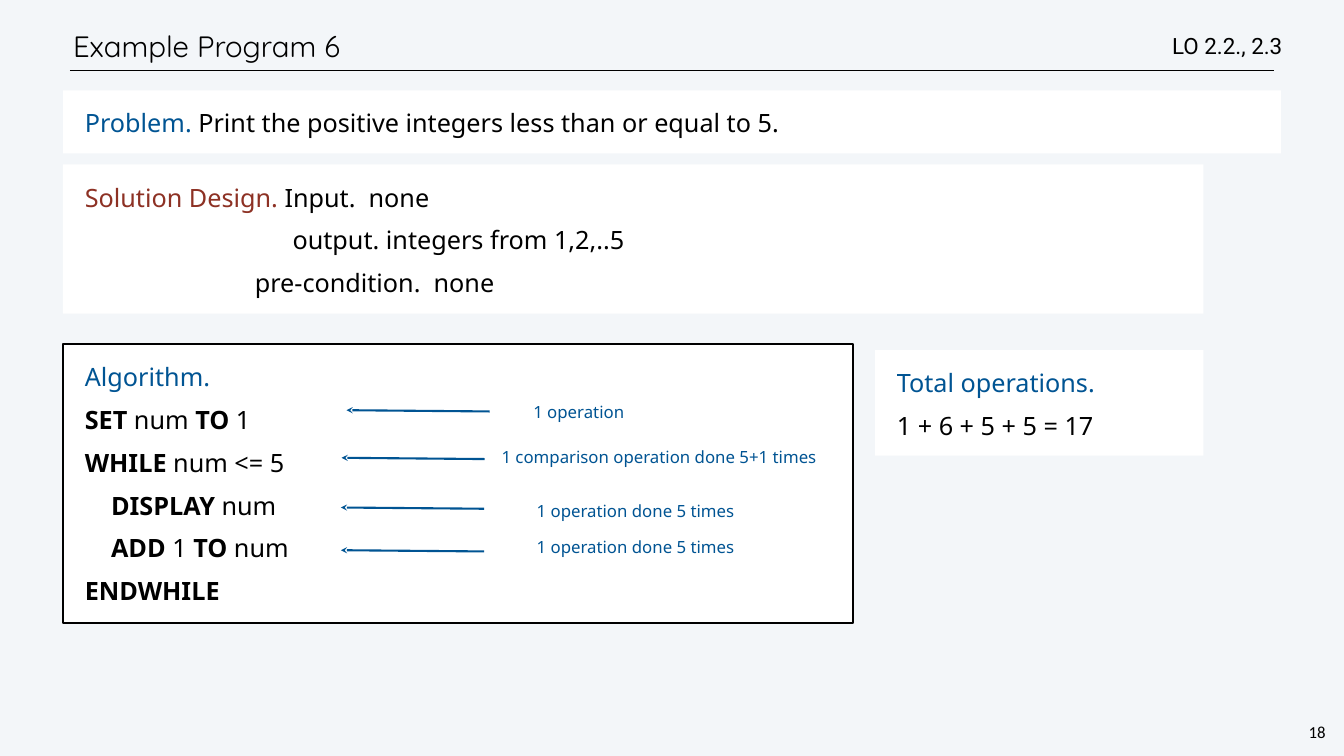
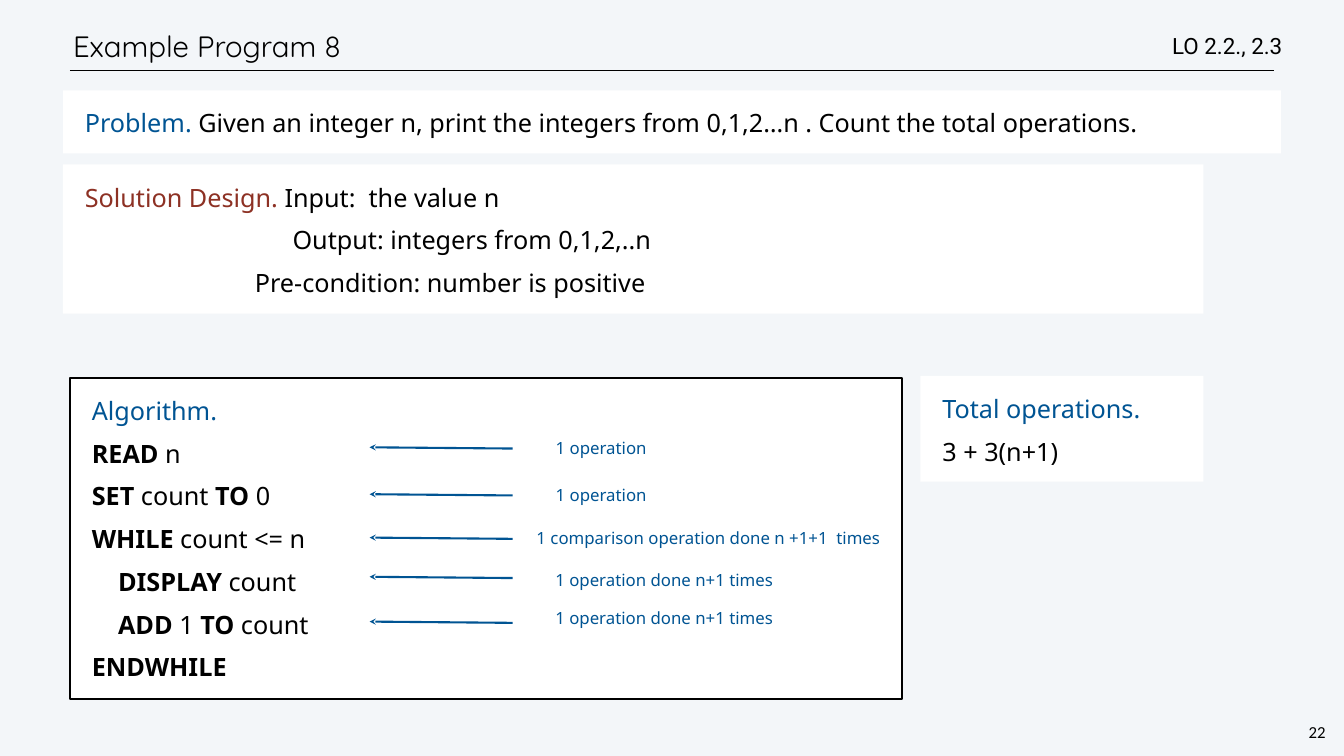
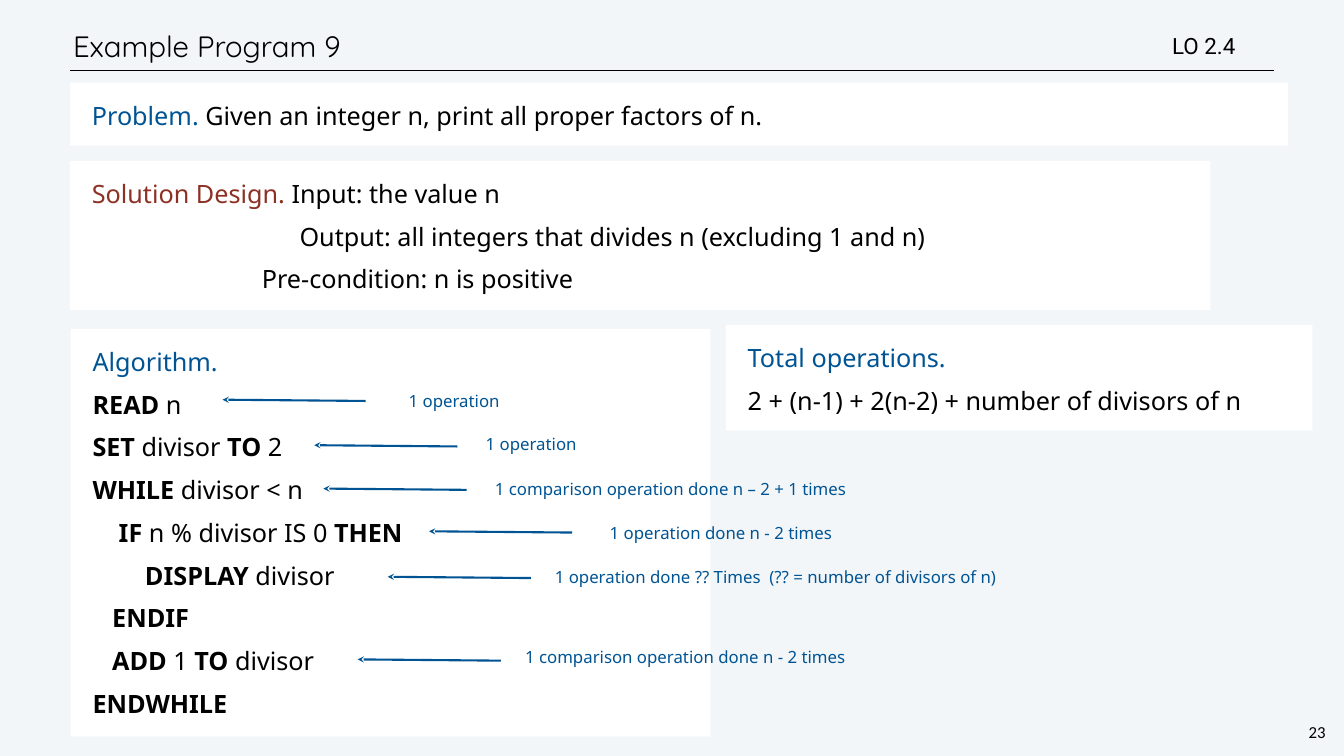
from pptx import Presentation
from pptx.dml.color import RGBColor
from pptx.enum.shapes import MSO_CONNECTOR, MSO_SHAPE
from pptx.enum.text import MSO_ANCHOR, PP_ALIGN
from pptx.oxml.ns import qn
from pptx.util import Pt
from lxml.etree import SubElement

COLORS = {
    "background": "F3F6F9",
    "panel": "FFFFFF",
    "ink": "000000",
    "blue": "005493",
    "red": "8D3124",
}
TITLE_FONT, BODY_FONT, OBJECTIVE_FONT, NUMBER_FONT = "Quicksand", "Noto Sans", "Roboto", "Calibri"
SLIDE_SIZE = (1920, 1080)
PANEL_INSET = 24
FIRST_INDENT = 7.2
OUTPUT_INDENT, CONDITION_INDENT = 304, 250
NOTE_WIDTH, NOTE_HEIGHT = 629, 36
ARROW_LENGTH, ARROW_DROP = 204.5, 1.8

# Notes: text, left and top, arrow tip left and top (from the algorithm panel), width if special.
# In the algorithm, asterisks enclose keywords.
PROGRAMS = [
    {
        "title": "Example Program 6",
        "objective": "LO 2.2., 2.3",
        "number": "18",
        "problem": "Print the positive integers less than or equal to 5.",
        "problem_box": (90, 129, 1740, 90),
        "design": ["Input.  none", "output. integers from 1,2,..5", "pre-condition.  none"],
        "design_box": (90, 235, 1629, 213),
        "algorithm": [
            "*SET* num *TO* 1",
            "*WHILE* num <= 5",
            "    *DISPLAY* num",
            "    *ADD* 1 *TO* num",
            "*ENDWHILE*",
        ],
        "algorithm_box": (90, 492, 1129, 398),
        "framed": True,
        "notes": [
            ("1 operation", (419, 78), (405, 94)),
            ("1 comparison operation done 5+1 times", (602, 143), (398, 162), 492),
            ("1 operation done 5 times", (500, 220), (397, 233)),
            ("1 operation done 5 times", (500, 271), (397, 294)),
        ],
        "total": "1 + 6 + 5 + 5 = 17",
        "total_box": (1250, 500, 469, 151),
    },
    {
        "title": "Example Program 8",
        "objective": "LO 2.2., 2.3",
        "number": "22",
        "problem": "Given an integer n, print the integers from 0,1,2…n . Count the total operations.",
        "problem_box": (90, 129, 1740, 90),
        "design": ["Input:  the value n", "Output: integers from 0,1,2,..n",
                   "Pre-condition: number is positive"],
        "design_box": (90, 235, 1629, 213),
        "algorithm": [
            "*READ* n",
            "*SET* count *TO* 0",
            "*WHILE* count <= n",
            "    *DISPLAY* count",
            "    *ADD* 1 *TO* count",
            "*ENDWHILE*",
        ],
        "algorithm_box": (100, 540, 1188, 459),
        "framed": True,
        "notes": [
            ("1 operation", (441, 82), (428, 99)),
            ("1 operation", (441, 149), (428, 166)),
            ("1 comparison operation done n +1+1  times", (594, 210), (428, 228)),
            ("1 operation done n+1 times", (531, 271), (428, 284)),
            ("1 operation done n+1 times", (531, 325), (428, 348)),
        ],
        "total": "3 + 3(n+1)",
        "total_box": (1315, 537, 404, 151),
    },
    {
        "title": "Example Program 9",
        "objective": "LO 2.4",
        "number": "23",
        "problem": "Given an integer n, print all proper factors of n.",
        "problem_box": (100, 118, 1740, 90),
        "design": ["Input: the value n", "Output: all integers that divides n (excluding 1 and n)",
                   "Pre-condition: n is positive"],
        "design_box": (100, 230, 1629, 213),
        "algorithm": [
            "*READ* n",
            "*SET* divisor *TO* 2",
            "*WHILE* divisor < n",
            "    *IF* n % divisor IS 0 *THEN*",
            "        *DISPLAY* divisor",
            "   *ENDIF*",
            "   *ADD* 1 *TO* divisor",
            "*ENDWHILE*",
        ],
        "algorithm_box": (101, 470, 914, 582),
        "framed": False,
        "notes": [
            ("1 operation", (230, 85), (217, 101)),
            ("1 operation", (340, 146), (348, 166)),
            ("1 comparison operation done n – 2 + 1 times", (539, 211), (361, 228)),
            ("1 operation done n - 2 times", (611, 273), (512, 289)),
            ("1 operation done ?? Times  (?? = number of divisors of n)",
             (500, 336), (453, 354), 1007),
            ("1 comparison operation done n - 2 times", (560, 451), (410, 472)),
        ],
        "total": "2 + (n-1) + 2(n-2) + number of divisors of n",
        "total_box": (1037, 464, 838, 151),
    },
]


def rgb(color):
    return RGBColor.from_string(COLORS[color])


def set_insets(frame, inset):
    frame.margin_left = frame.margin_right = frame.margin_top = frame.margin_bottom = Pt(inset)


def add_run(paragraph, text, size, font, color="ink", bold=False):
    run = paragraph.add_run()
    run.text = text
    run.font.size = Pt(size)
    run.font.name = font
    run.font.bold = bold
    run.font.color.rgb = rgb(color)


def indent(paragraph, left, first):
    properties = paragraph._p.get_or_add_pPr()
    properties.set("marL", str(Pt(left)))
    properties.set("indent", str(Pt(first)))


def add_label(slide, box, text, size, font, color="ink", inset=4.3, spacing=None,
              anchor=MSO_ANCHOR.MIDDLE, align=PP_ALIGN.LEFT, wrap=True):
    """Add a one-line text box and return its paragraph."""
    frame = slide.shapes.add_textbox(*map(Pt, box)).text_frame
    frame.word_wrap = wrap
    frame.vertical_anchor = anchor
    set_insets(frame, inset)
    paragraph = frame.paragraphs[0]
    paragraph.alignment = align
    if spacing:
        paragraph.line_spacing = Pt(spacing)
    add_run(paragraph, text, size, font, color)
    return paragraph


def add_line(slide, start, end, color, width):
    line = slide.shapes.add_connector(MSO_CONNECTOR.STRAIGHT, *map(Pt, start + end))
    line.line.color.rgb = rgb(color)
    line.line.width = Pt(width)
    SubElement(line._element.spPr, qn("a:effectLst"))
    return line


def add_panel(slide, box, lines, framed=False):
    """Each line is (first-line indent, [(text, colour, bold), ...])."""
    panel = slide.shapes.add_shape(MSO_SHAPE.RECTANGLE, *map(Pt, box))
    panel.shadow.inherit = False
    panel.fill.solid()
    panel.fill.fore_color.rgb = rgb("panel")
    if framed:
        panel.line.color.rgb = rgb("ink")
        panel.line.width = Pt(3)
    else:
        panel.line.fill.background()
    frame = panel.text_frame
    frame.word_wrap = True
    frame.vertical_anchor = MSO_ANCHOR.TOP
    set_insets(frame, PANEL_INSET)
    for row, (first, pieces) in enumerate(lines):
        paragraph = frame.add_paragraph() if row else frame.paragraphs[0]
        indent(paragraph, 0, first)
        paragraph.alignment = PP_ALIGN.LEFT
        paragraph.line_spacing = Pt(44)
        if row:
            paragraph.space_before = Pt(17)
        for text, color, bold in pieces:
            add_run(paragraph, text, 36, BODY_FONT, color, bold)


def code_pieces(code):
    return [(part, "ink", position % 2 == 1)
            for position, part in enumerate(code.split("*")) if part]


def add_header_and_number(slide, title, objective, number):
    slide.background.fill.solid()
    slide.background.fill.fore_color.rgb = rgb("background")
    add_line(slide, (100, 101), (1820, 101), "ink", 1)
    add_label(slide, (1866, 1029, 31, 34), number, 24, NUMBER_FONT, inset=3, spacing=28,
              anchor=MSO_ANCHOR.TOP, align=PP_ALIGN.CENTER, wrap=False)
    add_label(slide, (100, 30, 1629, 71), title, 42, TITLE_FONT, spacing=50)
    add_label(slide, (1670, 42, 215, 47), objective, 32, OBJECTIVE_FONT)


def add_problem(slide, box, problem):
    add_panel(slide, box, [(FIRST_INDENT, [("Problem. ", "blue", False), (problem, "ink", False)])])


def add_design(slide, box, design):
    given, output, condition = [(text, "ink", False) for text in design]
    add_panel(slide, box, [
        (FIRST_INDENT, [("Solution Design. ", "red", False), given]),
        (OUTPUT_INDENT, [output]),
        (CONDITION_INDENT, [condition]),
    ])


def add_total(slide, box, total):
    add_panel(slide, box, [
        (FIRST_INDENT, [("Total operations.", "blue", False)]),
        (FIRST_INDENT, [(total, "ink", False)]),
    ])


def add_note(slide, origin, text, place, tip, width=NOTE_WIDTH):
    """Add an operation count and the arrow to its line of code."""
    left, top = origin
    box = (left + place[0], top + place[1], width, NOTE_HEIGHT)
    paragraph = add_label(slide, box, text, 24, BODY_FONT, "blue", spacing=28,
                          anchor=MSO_ANCHOR.TOP, align=PP_ALIGN.CENTER)
    indent(paragraph, 6.5, 0)
    x, y = left + tip[0], top + tip[1]
    arrow = add_line(slide, (x, y), (x + ARROW_LENGTH, y + ARROW_DROP), "blue", 3)
    SubElement(arrow.line._get_or_add_ln(), qn("a:headEnd"), type="stealth")


def add_algorithm(slide, box, algorithm, notes, framed):
    heading = (FIRST_INDENT, [("Algorithm.", "blue", False)])
    code = [(FIRST_INDENT, code_pieces(line)) for line in algorithm]
    add_panel(slide, box, [heading] + code, framed)
    for note in notes:
        add_note(slide, box[:2], *note)


def add_program_slide(deck, program):
    slide = deck.slides.add_slide(deck.slide_layouts[6])
    add_header_and_number(slide, program["title"], program["objective"], program["number"])
    add_problem(slide, program["problem_box"], program["problem"])
    add_design(slide, program["design_box"], program["design"])
    add_total(slide, program["total_box"], program["total"])
    add_algorithm(slide, program["algorithm_box"], program["algorithm"],
                  program["notes"], program["framed"])


def main():
    deck = Presentation()
    deck.slide_width, deck.slide_height = map(Pt, SLIDE_SIZE)
    for program in PROGRAMS:
        add_program_slide(deck, program)
    deck.save("out.pptx")


if __name__ == "__main__":
    main()
